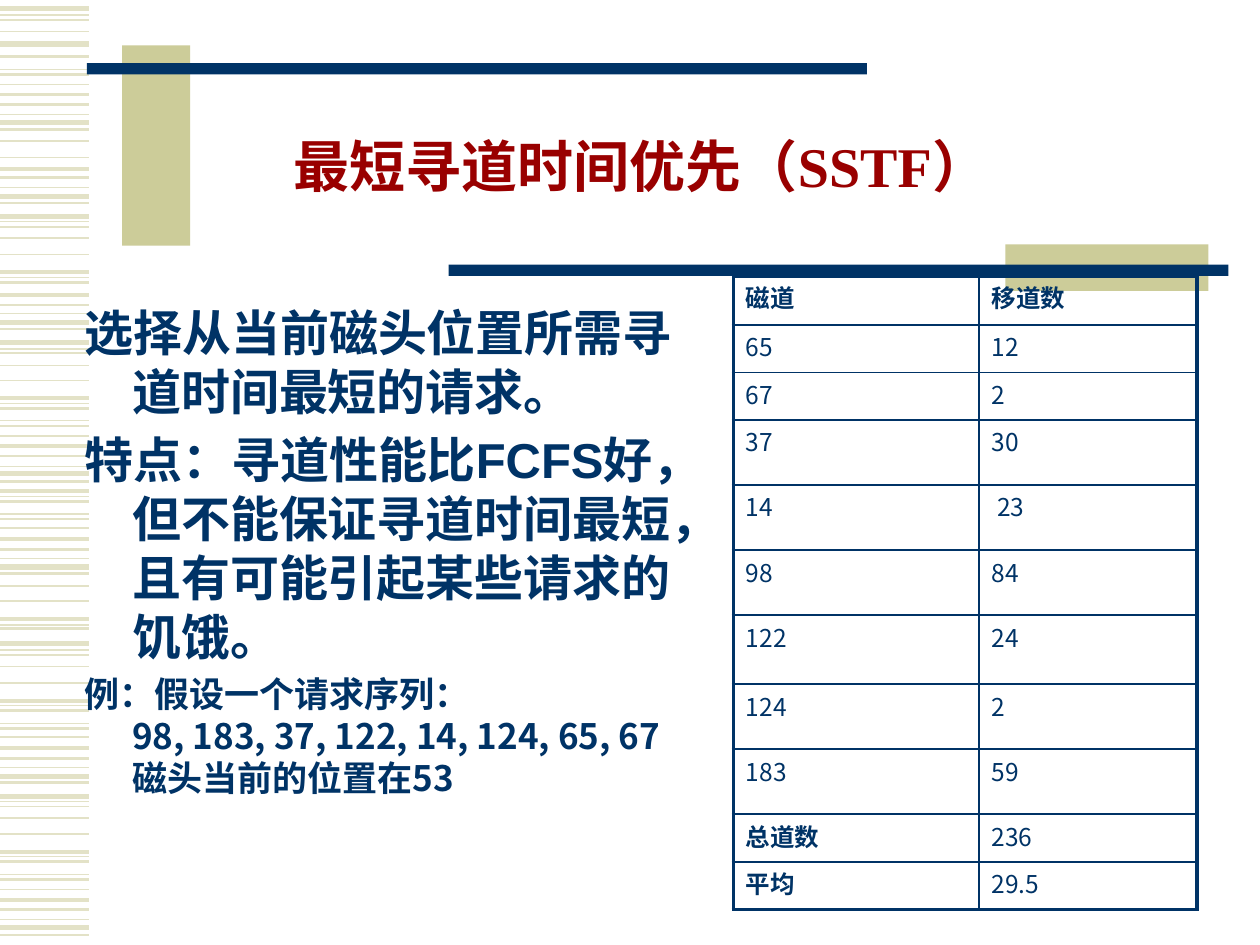
from lxml import etree
from pptx import Presentation
from pptx.dml.color import RGBColor
from pptx.enum import shapes, text
from pptx.oxml import ns
from pptx.util import Inches, Pt

NAVY = RGBColor(0x00, 0x33, 0x66)
OLIVE = RGBColor(0xCC, 0xCC, 0x99)
PALE = RGBColor(0xE3, 0xE2, 0xC7)
RED = RGBColor(0x99, 0x00, 0x00)
SANS = "Noto Sans CJK SC"

# Stripe heights on the left edge, by line width in points
STRIPES = {
    0.75: [0.12, 0.55, 0.91, 1.49, 1.76, 2.2, 2.49, 2.77, 3.2, 3.34, 3.7, 3.94,
           4.08, 4.43, 4.96, 5.16, 5.6, 5.74, 6.09, 6.36, 6.8, 6.94, 7.3],
    1: [0.16, 0.25, 0.67, 1.12, 1.25, 1.8, 1.89, 2.02, 2.8, 2.9, 3.02, 3.46,
        4.19, 4.65, 4.77, 5.2, 5.29, 5.42, 5.85, 6.4, 6.49, 6.62, 7.06],
    1.5: [0.45, 0.59, 0.83, 1.03, 1.41, 1.61, 2.24, 2.42, 2.61, 3.24, 3.38,
          3.62, 3.82, 3.98, 4.12, 4.36, 4.55, 4.99, 5.64, 5.78, 6.02, 6.21,
          6.84, 6.98, 7.22, 7.42],
    2.25: [0.75, 1.34, 2.16, 2.34, 3.16, 3.54, 3.9, 4.28, 4.91, 5.56, 5.94,
           6.76, 7.14],
    3: [0.07, 0.35, 0.97, 1.56, 1.72, 2.56, 2.72, 3.76, 4.5, 5.11, 6.16, 6.32,
        7.36],
}
BARS = [
    (0.97, 0.36, 0.54, 1.59, OLIVE),
    (0.69, 0.5, 6.19, 0.09, NAVY),
    (7.98, 1.94, 1.61, 0.37, OLIVE),
    (3.56, 2.1, 6.19, 0.09, NAVY),
]
# Text, size, Latin font
BODY = [
    ("选择从当前磁头位置所需寻道时间最短的请求。", 28, SANS),
    ("特点：寻道性能比FCFS好，但不能保证寻道时间最短，且有可能引起某些请求的饥饿。",
     28, "Arial"),
    ("例：假设一个请求序列：\v98, 183, 37, 122, 14, 124, 65, 67\v磁头当前的位置在53",
     20, SANS),
]
# Left cell, right cell, share of the table height
ROWS = [
    ("磁道", "移道数", 0.39), ("65", "12", 0.38), ("67", "2", 0.38),
    ("37", "30", 0.52), ("14", " 23", 0.52), ("98", "84", 0.52),
    ("122", "24", 0.55), ("124", "2", 0.52), ("183", "59", 0.52),
    ("总道数", "236", 0.38), ("平均", "29.5", 0.38),
]
TALL = 5.03


def put(obj, **vals):
    for key, val in vals.items():
        setattr(obj, key, val)


def box(*vals):
    return [Inches(v) for v in vals]


def style(para, size, color, latin=SANS, bold=True):
    for run in para.runs:
        put(run.font, size=Pt(size), name=latin, bold=bold)
        run.font.color.rgb = color
        east = etree.SubElement(run._r.get_or_add_rPr(), ns.qn("a:ea"))
        east.set("typeface", SANS)


def add_line(slide, y, width):
    line = slide.shapes.add_connector(
        shapes.MSO_CONNECTOR.STRAIGHT, *box(0, y, 0.71, y))
    line.line.color.rgb = PALE
    line.line.width = Pt(width)
    etree.SubElement(line._element.spPr, ns.qn("a:effectLst"))


def add_bar(slide, left, top, width, height, color):
    bar = slide.shapes.add_shape(
        shapes.MSO_SHAPE.RECTANGLE, *box(left, top, width, height))
    bar.shadow.inherit = False
    bar.fill.solid()
    bar.fill.fore_color.rgb = color
    bar.line.fill.background()


def place(slide, holder, *spot):
    """Position a placeholder and bring it in front of the decoration."""
    left, top, width, height = box(*spot)
    put(holder, left=left, top=top, width=width, height=height)
    slide.shapes._spTree.append(holder._element)
    put(holder.text_frame, word_wrap=True, auto_size=text.MSO_AUTO_SIZE.NONE)
    return holder.text_frame


def add_title(slide):
    frame = place(slide, slide.shapes.title, 0.71, 1, 8.75, 0.63)
    frame.vertical_anchor = text.MSO_ANCHOR.BOTTOM
    para = frame.paragraphs[0]
    para.text = "最短寻道时间优先（SSTF）"
    put(para, alignment=text.PP_ALIGN.CENTER, line_spacing=0.85)
    style(para, 32, RED, "Times New Roman")


def add_body(slide):
    frame = place(slide, slide.placeholders[1], 0.57, 2.35, 5.07, 4.1)
    frame.vertical_anchor = text.MSO_ANCHOR.TOP
    for i, (words, size, latin) in enumerate(BODY):
        para = frame.add_paragraph() if i else frame.paragraphs[0]
        para.text = words
        put(para, line_spacing=1.0, space_before=Pt(size * 0.2))
        style(para, size, NAVY, latin)
        props = para._p.get_or_add_pPr()
        props.set("marL", str(Inches(0.38)))
        props.set("indent", str(-Inches(0.38)))
        etree.SubElement(props, ns.qn("a:buNone"))


def set_edges(cell, widths):
    props = cell._tc.get_or_add_tcPr()
    for i, (side, width) in enumerate(zip("LRTB", widths)):
        edge = etree.Element(ns.qn("a:ln" + side), w=str(Pt(width)))
        fill = etree.SubElement(edge, ns.qn("a:solidFill"))
        etree.SubElement(fill, ns.qn("a:srgbClr"), val=str(NAVY))
        props.insert(i, edge)


def add_grid(slide):
    last = len(ROWS) - 1
    total = sum(row[-1] for row in ROWS)
    grid = slide.shapes.add_table(
        len(ROWS), 2, *box(5.82, 2.19, 3.68, TALL)).table
    put(grid, first_row=False, horz_banding=False)
    for col, width in zip(grid.columns, (1.95, 1.73)):
        col.width = Inches(width)
    for r, (*words, share) in enumerate(ROWS):
        grid.rows[r].height = Inches(TALL * share / total)
        for c, word in enumerate(words):
            cell = grid.cell(r, c)
            cell.fill.background()
            para = cell.text_frame.paragraphs[0]
            para.text = word
            put(para, line_spacing=0.9, space_before=Pt(1))
            style(para, 14, NAVY, bold=r == 0 or (c == 0 and r >= last - 1))
            # Thick outer frame, thin inner lines
            outer = (c == 0, c == 1, r == 0, r == last)
            set_edges(cell, [2.25 if out else 1 for out in outer])


def main():
    prs = Presentation()
    put(prs, slide_width=Inches(10), slide_height=Inches(7.5))
    slide = prs.slides.add_slide(prs.slide_layouts[1])
    # Decoration
    for width, spots in STRIPES.items():
        for y in spots:
            add_line(slide, y, width)
    for bar in BARS:
        add_bar(slide, *bar)
    # Content
    add_title(slide)
    add_body(slide)
    add_grid(slide)
    prs.save("out.pptx")


if __name__ == "__main__":
    main()
